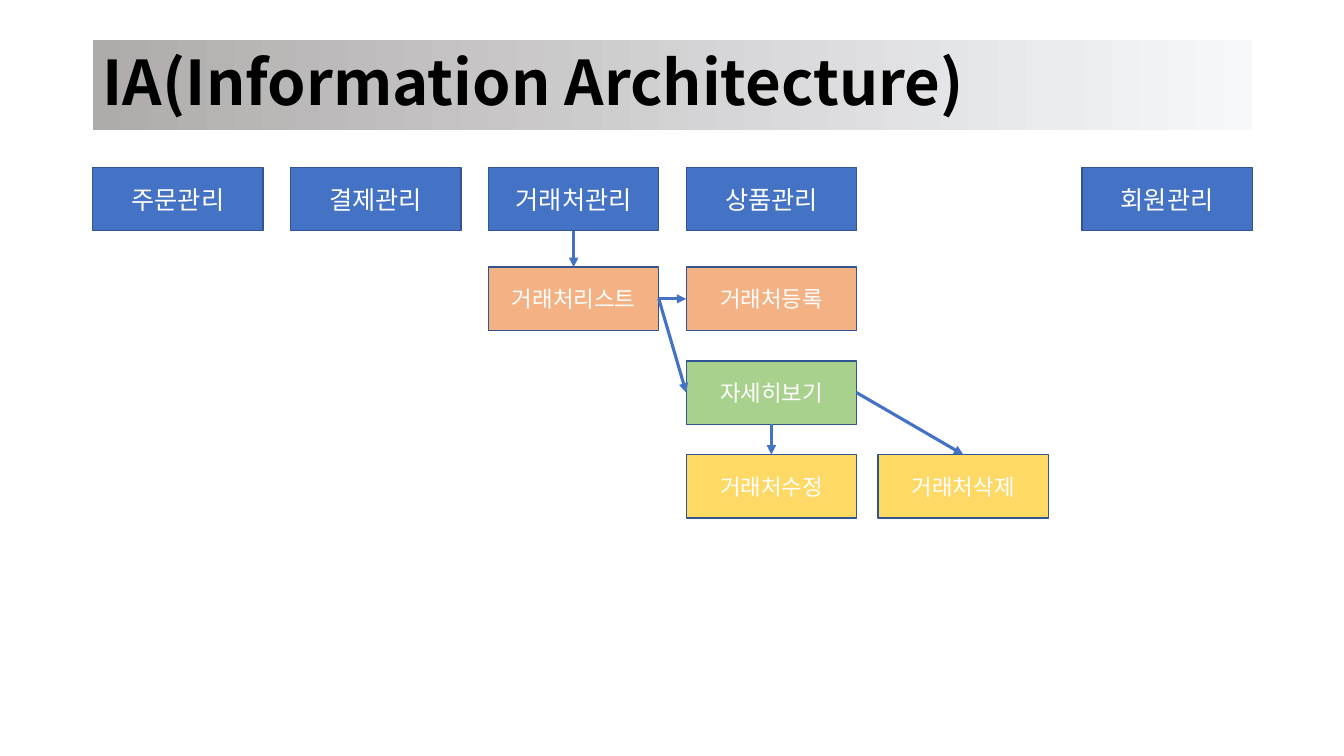
from dataclasses import dataclass

from lxml.etree import SubElement
from pptx import Presentation
from pptx.dml.color import RGBColor
from pptx.enum.shapes import MSO_CONNECTOR as Connector, MSO_SHAPE as Preset
from pptx.enum.text import MSO_ANCHOR as Anchor, PP_ALIGN as Align
from pptx.oxml.ns import qn
from pptx.shapes.autoshape import Shape
from pptx.shapes.shapetree import SlideShapes
from pptx.util import Inches, Pt

FONT = "Noto Sans CJK KR"
MARGIN = 0.92
CONTENT_WIDTH = 11.5
BOX_WIDTH, BOX_HEIGHT = 1.69, 0.63
COLUMN_PITCH = (CONTENT_WIDTH - BOX_WIDTH) / 5
ROW_TOPS = (1.66, 2.65, 3.58, 4.51)
BLUE, ORANGE, GREEN, YELLOW = "4472C4", "F4B183", "A9D18E", "FFD966"
BORDER = "325491"
TOP, LEFT, BOTTOM, RIGHT = range(4)  # connection sites of a rectangle


@dataclass(frozen=True)
class Page:
    label: str
    column: float
    row: int
    fill: str
    size: int = 16


@dataclass(frozen=True)
class Link:
    source: str
    exit_site: int
    target: str
    entry_site: int


PAGES = (
    Page("주문관리", 0, 0, BLUE, 18),
    Page("결제관리", 1, 0, BLUE, 18),
    Page("거래처관리", 2, 0, BLUE, 18),
    Page("상품관리", 3, 0, BLUE, 18),
    Page("회원관리", 5, 0, BLUE, 18),
    Page("거래처리스트", 2, 1, ORANGE),
    Page("거래처등록", 3, 1, ORANGE),
    Page("자세히보기", 3, 2, GREEN),
    Page("거래처수정", 3, 3, YELLOW),
    Page("거래처삭제", 3.97, 3, YELLOW),
)
LINKS = (
    Link("거래처관리", BOTTOM, "거래처리스트", TOP),
    Link("거래처리스트", RIGHT, "거래처등록", LEFT),
    Link("거래처리스트", RIGHT, "자세히보기", LEFT),
    Link("자세히보기", BOTTOM, "거래처수정", TOP),
    Link("자세히보기", RIGHT, "거래처삭제", TOP),
)


def rgb(hex_color: str) -> RGBColor:
    return RGBColor.from_string(hex_color)


def add_labelled_box(shapes: SlideShapes, left: float, top: float, width: float,
                     height: float, label: str, size: int, color: str,
                     align: Align, bold: bool = False) -> Shape:
    box = shapes.add_shape(Preset.RECTANGLE, Inches(left), Inches(top),
                           Inches(width), Inches(height))
    box.shadow.inherit = False
    frame = box.text_frame
    frame.word_wrap = True
    frame.vertical_anchor = Anchor.MIDDLE
    paragraph = frame.paragraphs[0]
    paragraph.text = label
    paragraph.alignment = align
    font = paragraph.font
    font.name, font.size, font.bold = FONT, Pt(size), bold
    font.color.rgb = rgb(color)
    # Hangul takes its typeface from the East Asian font
    defaults = paragraph._p.pPr.find(qn("a:defRPr"))
    SubElement(defaults, qn("a:ea"), typeface=FONT)
    return box


def add_title(shapes: SlideShapes) -> None:
    banner = add_labelled_box(shapes, MARGIN, 0.4, CONTENT_WIDTH, 0.89,
                              "IA(Information Architecture)", 44, "000000",
                              Align.LEFT, bold=True)
    banner.text_frame.paragraphs[0].line_spacing = 0.9
    banner.line.fill.background()
    banner.fill.gradient()
    banner.fill.gradient_angle = 180
    for stop, color in zip(banner.fill.gradient_stops, ("F6F8FC", "AFABAB")):
        stop.color.rgb = rgb(color)


def add_page(shapes: SlideShapes, page: Page) -> Shape:
    box = add_labelled_box(shapes, MARGIN + page.column * COLUMN_PITCH,
                           ROW_TOPS[page.row], BOX_WIDTH, BOX_HEIGHT,
                           page.label, page.size, "FFFFFF", Align.CENTER)
    box.fill.solid()
    box.fill.fore_color.rgb = rgb(page.fill)
    box.line.color.rgb = rgb(BORDER)
    box.line.width = Pt(1)
    return box


def add_link(shapes: SlideShapes, link: Link, boxes: dict[str, Shape]) -> None:
    arrow = shapes.add_connector(Connector.STRAIGHT, 0, 0, 0, 0)
    arrow.begin_connect(boxes[link.source], link.exit_site)
    arrow.end_connect(boxes[link.target], link.entry_site)
    arrow.line.color.rgb = rgb(BLUE)
    arrow.line.width = Pt(2.25)
    SubElement(arrow.line._get_or_add_ln(), qn("a:tailEnd"), type="triangle")
    SubElement(arrow._element.spPr, qn("a:effectLst"))


def main() -> None:
    presentation = Presentation()
    presentation.slide_width = Inches(13.33)
    presentation.slide_height = Inches(7.5)
    shapes = presentation.slides.add_slide(presentation.slide_layouts[6]).shapes
    add_title(shapes)
    boxes = {page.label: add_page(shapes, page) for page in PAGES}
    for link in LINKS:
        add_link(shapes, link, boxes)
    presentation.save("out.pptx")


if __name__ == "__main__":
    main()
